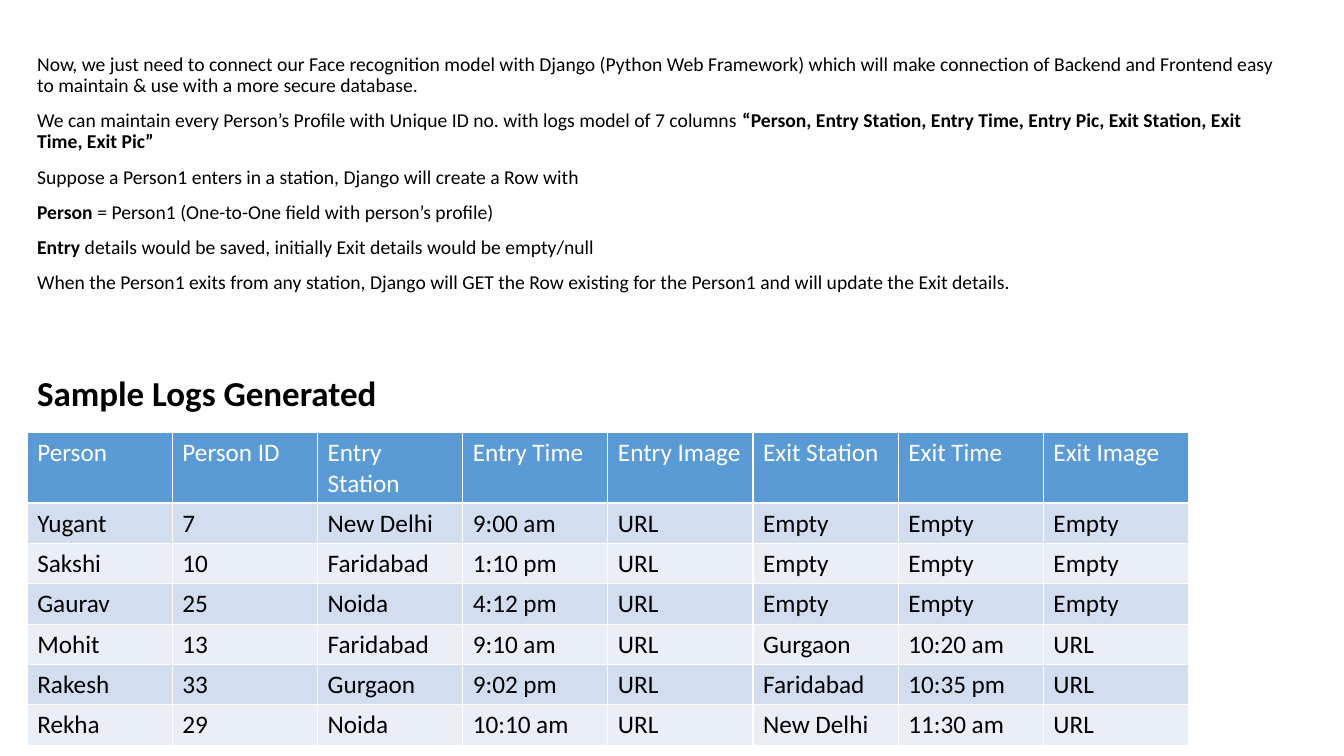
from pptx import Presentation
from pptx.dml.color import RGBColor as Color
from pptx.util import Inches, Pt

BLACK = RGB_BLACK = Color(0x00, 0x00, 0x00)
WHITE = Color(0xFF, 0xFF, 0xFF)
HEADER_BLUE = Color(0x5B, 0x9B, 0xD5)
BANDS = [Color(0xD2, 0xDE, 0xEF), Color(0xEA, 0xEF, 0xF7)]

LEFT = Inches(0.27)
COLUMN_WIDTH = Inches(1.44)
HEADER_HEIGHT, ROW_HEIGHT = Inches(0.7), Inches(0.4)


def write(para, text, size=18, color=BLACK, bold=False):
    span = para.add_run()
    span.text = text
    span.font.name = "Calibri"
    span.font.size = Pt(size)
    span.font.color.rgb = color
    span.font.bold = bold


deck = Presentation()
deck.slide_width, deck.slide_height = Inches(13.33), Inches(7.5)
page = deck.slides.add_slide(deck.slide_layouts[6])

# Explanation: each paragraph is a list of (text, bold) spans
explanation = [
    [("Now, we just need to connect our Face recognition model with Django "
      "(Python Web Framework) which will make connection of Backend and Frontend "
      "easy to maintain & use with a more secure database.", False)],
    [("We can maintain every Person’s Profile with Unique ID no. with logs model "
      "of 7 columns ", False),
     ("“Person, Entry Station, Entry Time, Entry Pic, Exit Station, Exit Time, "
      "Exit Pic”", True)],
    [("Suppose a Person1 enters in a station, Django will create a Row with", False)],
    [("Person", True), (" = Person1 (One-to-One field with person’s profile)", False)],
    [("Entry", True),
     (" details would be saved, initially Exit details would be empty/null", False)],
    [("When the Person1 exits from any station, Django will GET the Row existing "
      "for the Person1 and will update the Exit details.", False)],
]
box = page.shapes.add_textbox(LEFT, Inches(0.49), Inches(12.64), Inches(2.82))
box.text_frame.word_wrap = True
for index, spans in enumerate(explanation):
    para = box.text_frame.add_paragraph() if index else box.text_frame.paragraphs[0]
    para.line_spacing = 0.9
    para.space_before = Pt(10)
    for text, bold in spans:
        write(para, text, size=14, bold=bold)

# Table heading
box = page.shapes.add_textbox(LEFT, Inches(3.64), Inches(7.58), Inches(0.52))
box.text_frame.word_wrap = True
write(box.text_frame.paragraphs[0], "Sample Logs Generated", size=25, bold=True)

# Log table: the default style supplies the white borders
logs = [
    ["Person", "Person ID", "Entry Station", "Entry Time", "Entry Image",
     "Exit Station", "Exit Time", "Exit Image"],
    ["Yugant", "7", "New Delhi", "9:00 am", "URL", "Empty", "Empty", "Empty"],
    ["Sakshi", "10", "Faridabad", "1:10 pm", "URL", "Empty", "Empty", "Empty"],
    ["Gaurav", "25", "Noida", "4:12 pm", "URL", "Empty", "Empty", "Empty"],
    ["Mohit", "13", "Faridabad", "9:10 am", "URL", "Gurgaon", "10:20 am", "URL"],
    ["Rakesh", "33", "Gurgaon", "9:02 pm", "URL", "Faridabad", "10:35 pm", "URL"],
    ["Rekha", "29", "Noida", "10:10 am", "URL", "New Delhi", "11:30 am", "URL"],
]
column_count, body_count = len(logs[0]), len(logs) - 1
table = page.shapes.add_table(
    len(logs), column_count, LEFT, Inches(4.29),
    COLUMN_WIDTH * column_count, HEADER_HEIGHT + ROW_HEIGHT * body_count).table
for column in table.columns:
    column.width = COLUMN_WIDTH
for row, record in enumerate(logs):
    is_header = row == 0
    table.rows[row].height = HEADER_HEIGHT if is_header else ROW_HEIGHT
    for column, text in enumerate(record):
        cell = table.cell(row, column)
        cell.fill.solid()
        cell.fill.fore_color.rgb = HEADER_BLUE if is_header else BANDS[(row - 1) % 2]
        write(cell.text_frame.paragraphs[0], text, color=WHITE if is_header else BLACK)

deck.save("out.pptx")
